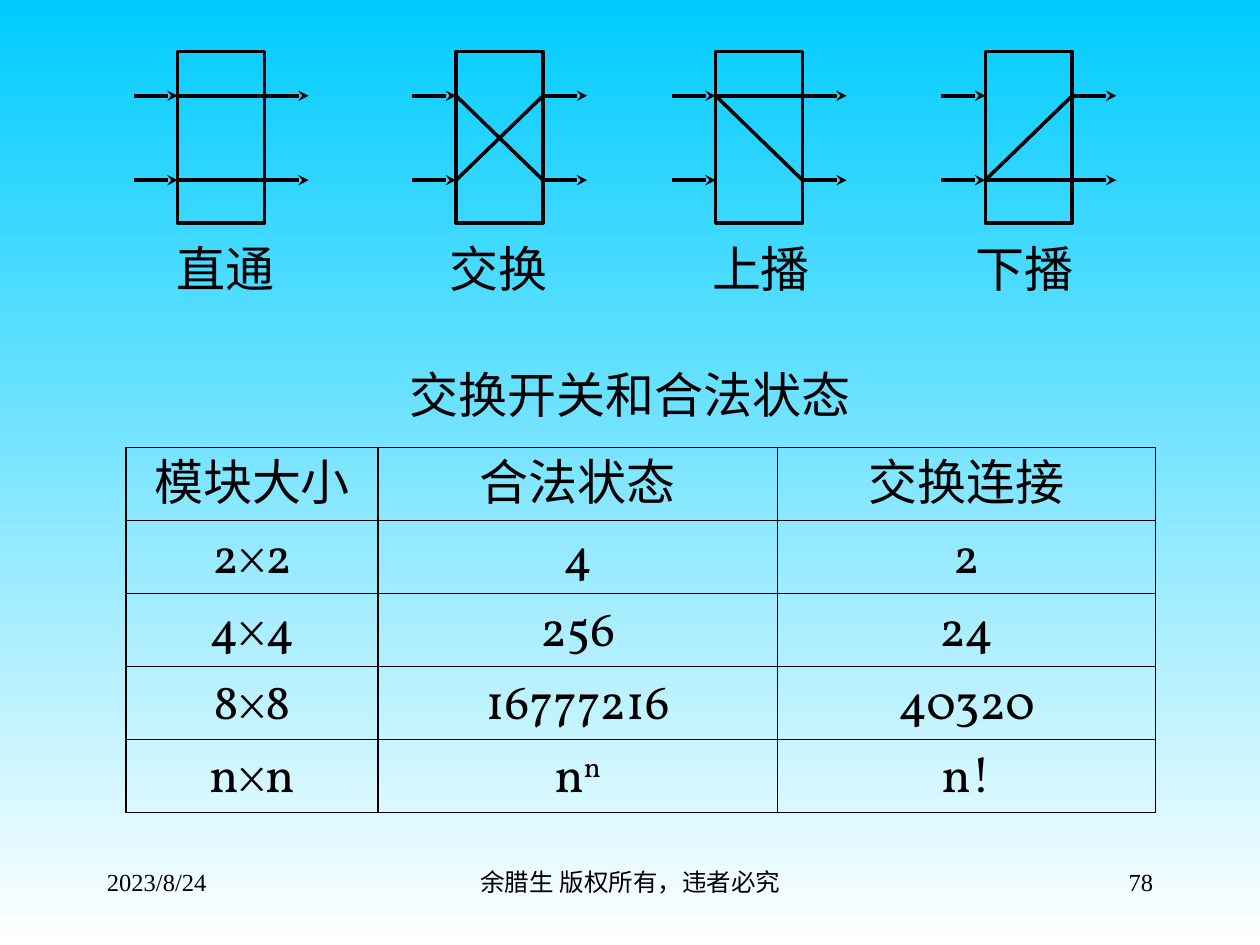
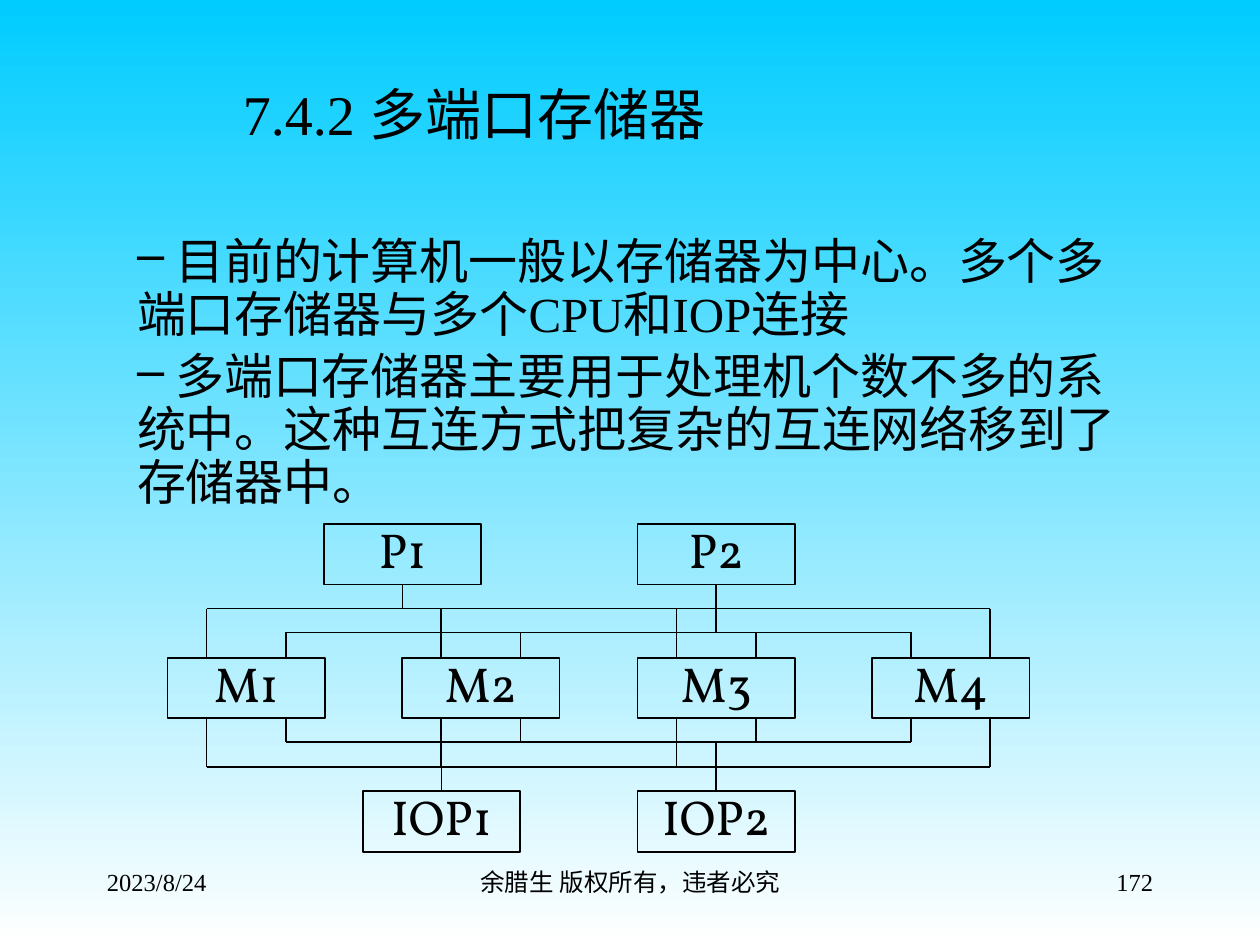
from lxml import etree
from pptx import Presentation
from pptx.dml.color import RGBColor
from pptx.enum import shapes, text
from pptx.oxml import ns
from pptx.util import Inches, Pt

BLACK = RGBColor(0x00, 0x00, 0x00)
SKY = RGBColor(0x00, 0xCC, 0xFF)
WHITE = RGBColor(0xFF, 0xFF, 0xFF)
SERIF = "Times New Roman"
LABEL_FONT = "Vollkorn"
LEFT, CENTER, RIGHT = text.PP_ALIGN.LEFT, text.PP_ALIGN.CENTER, text.PP_ALIGN.RIGHT

SWITCH_W, SWITCH_TOP, SWITCH_H = 0.69, 0.41, 1.36
PORT_Y = (0.76, 1.43)
ARROW = 0.35
SWITCHES = (
    ("直通", 1.41, 1.79, ((0, 0), (1, 1))),
    ("交换", 3.62, 3.96, ((0, 1), (1, 0))),
    ("上播", 5.68, 6.04, ((0, 0), (0, 1))),
    ("下播", 7.82, 8.13, ((1, 0), (1, 1))),
)
STATES = (
    ("模块大小", "合法状态", "交换连接"),
    ("2×2", "4", "2"),
    ("4×4", "256", "24"),
    ("8×8", "16777216", "40320"),
    ("n×n", "nn", "n!"),
)
COLUMN_W = (2.0, 3.17, 3.0)
ROW_H = 0.58

UNIT_W, UNIT_H = 1.25, 0.48
MEMORY_X, MEMORY_Y = (1.33, 3.19, 5.06, 6.92), 5.22
PROCESSORS = (("P1", 2.57, 4.83), ("P2", 5.06, 5.02))
IO_UNITS = (("IOP1", 2.88, 6.09), ("IOP2", 5.06, 5.89))
PROCESSOR_Y, IO_Y = 4.16, 6.28
PORT_OFFSETS = (0.31, 0.94)


def child(parent, tag, **attrs):
    """Append a DrawingML element to parent."""
    return etree.SubElement(parent, ns.qn("a:" + tag), **attrs)


def style(p, font, size, align=LEFT, spacing=None):
    """Format a paragraph and its runs."""
    p.alignment = align
    if spacing:
        p.line_spacing = spacing
    for r in p.runs:
        r.font.name, r.font.size = font, Pt(size)
        r.font.color.rgb = BLACK


def textbox(container, x, y, w, h, words, font=SERIF, size=14, align=LEFT):
    """Add a wrapping text box with one paragraph."""
    tf = container.add_textbox(Inches(x), Inches(y), Inches(w), Inches(h)).text_frame
    tf.word_wrap = True
    tf.text = words
    style(tf.paragraphs[0], font, size, align)
    return tf


def center_label(tf, words):
    """Write a centred label in a text frame."""
    tf.text = words
    tf.word_wrap = False
    tf.vertical_anchor = text.MSO_ANCHOR.MIDDLE
    tf.margin_left = tf.margin_right = Inches(0.04)
    tf.margin_top = tf.margin_bottom = 0
    style(tf.paragraphs[0], LABEL_FONT, 28, CENTER, 0.8)


def caption(container, x, y, w, h, words):
    """Add an unframed centred label."""
    sp = container.add_textbox(Inches(x), Inches(y), Inches(w), Inches(h))
    center_label(sp.text_frame, words)


def box(container, x, y, w, h, weight, words=None):
    """Add an outlined rectangle, labelled when words are given."""
    sp = container.add_shape(shapes.MSO_SHAPE.RECTANGLE,
                             Inches(x), Inches(y), Inches(w), Inches(h))
    sp.shadow.inherit = False
    sp.fill.background()
    sp.line.color.rgb, sp.line.width = BLACK, Pt(weight)
    if words:
        center_label(sp.text_frame, words)


def line(container, x1, y1, x2, y2, weight=1, arrow=False):
    """Add a straight line, with an optional arrowhead at its end."""
    c = container.add_connector(shapes.MSO_CONNECTOR.STRAIGHT,
                                Inches(x1), Inches(y1), Inches(x2), Inches(y2))
    c.line.color.rgb, c.line.width = BLACK, Pt(weight)
    if arrow:
        child(c.line._get_or_add_ln(), "tailEnd", type="stealth")
    child(c._element.spPr, "effectLst")


def switch(s, name, x, label_x, links):
    """Draw a 2×2 switch with its ports, inner links and name."""
    group = s.shapes.add_group_shape().shapes
    right = x + SWITCH_W
    box(group, x, SWITCH_TOP, SWITCH_W, SWITCH_H, 2)
    for y in PORT_Y:
        line(group, x - ARROW, y, x, y, 2, arrow=True)
        line(group, right, y, right + ARROW, y, 2, arrow=True)
    for start, end in links:
        line(group, x, PORT_Y[start], right, PORT_Y[end], 2)
    caption(group, label_x - 0.43, 1.92, 0.86, 0.5, name)


def format_cell(cell, words):
    """Fill a table cell and give it black borders."""
    center_label(cell.text_frame, words)
    cell.vertical_anchor = text.MSO_ANCHOR.MIDDLE
    cell.margin_left = cell.margin_right = Inches(0.04)
    cell.margin_top = cell.margin_bottom = 0
    tcPr = cell._tc.get_or_add_tcPr()
    for side in ("lnL", "lnR", "lnT", "lnB"):
        fill = child(child(tcPr, side, w=str(Pt(1))), "solidFill")
        child(fill, "srgbClr", val=str(BLACK))
    cell.fill.background()


def state_table(s):
    """Add the table of legal states by module size."""
    table = s.shapes.add_table(len(STATES), len(COLUMN_W), Inches(1), Inches(3.55),
                               Inches(sum(COLUMN_W)), Inches(ROW_H * len(STATES))).table
    table.first_row = table.horz_banding = False
    for column, width in zip(table.columns, COLUMN_W):
        column.width = Inches(width)
    for i, row in enumerate(STATES):
        table.rows[i].height = Inches(ROW_H)
        for j, words in enumerate(row):
            format_cell(table.cell(i, j), words)
    p = table.cell(len(STATES) - 1, 1).text_frame.paragraphs[0]
    p.runs[0].text = "n"
    r = p.add_run()
    r.text = "n"
    style(p, LABEL_FONT, 28, CENTER, 0.8)
    r._r.get_or_add_rPr().set("baseline", "30000")


def bullets(s, x, y, w, h, items):
    """Add a dash list whose wrapped lines align with the dash."""
    tf = s.shapes.add_textbox(Inches(x), Inches(y), Inches(w), Inches(h)).text_frame
    tf.word_wrap = True
    for i, item in enumerate(items):
        p = tf.add_paragraph() if i else tf.paragraphs[0]
        p.text = " " + item
        pPr = p._p.get_or_add_pPr()
        pPr.set("marL", str(Inches(0.21)))
        pPr.set("indent", "0")
        child(pPr, "buChar", char="–")
        style(p, SERIF, 28, LEFT, 0.9)
        if i:
            p.space_before = Pt(5.6)


def bus(group, y, ports, edge):
    """Draw a bus with a drop to the memory edge at each port."""
    line(group, ports[0], y, ports[-1], y)
    for x in ports:
        line(group, x, y, x, edge)


def memory_diagram(s):
    """Draw processors and I/O units linked to four-port memories."""
    group = s.shapes.add_group_shape().shapes
    for i, x in enumerate(MEMORY_X, 1):
        box(group, x, MEMORY_Y, UNIT_W, UNIT_H, 1, f"M{i}")
    near, far = PORT_OFFSETS
    *others, last = MEMORY_X
    outer = [x + near for x in others] + [last + far]
    inner = [x + far for x in others] + [last + near]
    rows = ((PROCESSORS, PROCESSOR_Y, PROCESSOR_Y + UNIT_H, MEMORY_Y),
            (IO_UNITS, IO_Y, IO_Y, MEMORY_Y + UNIT_H))
    for units, top, stem_y, edge in rows:
        for (name, x, bus_y), ports in zip(units, (outer, inner)):
            box(group, x, top, UNIT_W, UNIT_H, 1, name)
            line(group, x + UNIT_W / 2, stem_y, x + UNIT_W / 2, bus_y)
            bus(group, bus_y, ports, edge)


def new_slide(prs, number):
    """Add a blank slide with the shared footer."""
    s = prs.slides.add_slide(prs.slide_layouts[6])
    for x, w, words, align in ((0.75, 2.08, "2023/8/24", LEFT),
                               (3.42, 3.17, "余腊生 版权所有，违者必究", CENTER),
                               (7.17, 2.08, str(number), RIGHT)):
        textbox(s.shapes, x, 6.83, w, 0.5, words, align=align)
    return s


def set_background(prs):
    """Give the master a vertical gradient from sky blue to white."""
    fill = prs.slide_master.background.fill
    fill.gradient()
    fill.gradient_angle = 270
    for stop, color in zip(fill.gradient_stops, (SKY, WHITE)):
        stop.color.rgb = color


def main():
    """Build and save the two slides."""
    prs = Presentation()
    prs.slide_width, prs.slide_height = Inches(10), Inches(7.5)
    set_background(prs)

    s = new_slide(prs, 78)
    for spec_row in SWITCHES:
        switch(s, *spec_row)
    caption(s.shapes, 2, 2.88, 6, 0.58, "交换开关和合法状态")
    state_table(s)

    s = new_slide(prs, 172)
    textbox(s.shapes, 1.83, 0.58, 3.87, 0.63, "7.4.2 多端口存储器", size=32)
    bullets(s, 0.78, 1.83, 8.3, 2.39, (
        "目前的计算机一般以存储器为中心。多个多端口存储器与多个CPU和IOP连接",
        "多端口存储器主要用于处理机个数不多的系统中。这种互连方式把复杂的互连网络移到了存储器中。",
    ))
    memory_diagram(s)
    prs.save("out.pptx")


if __name__ == "__main__":
    main()
